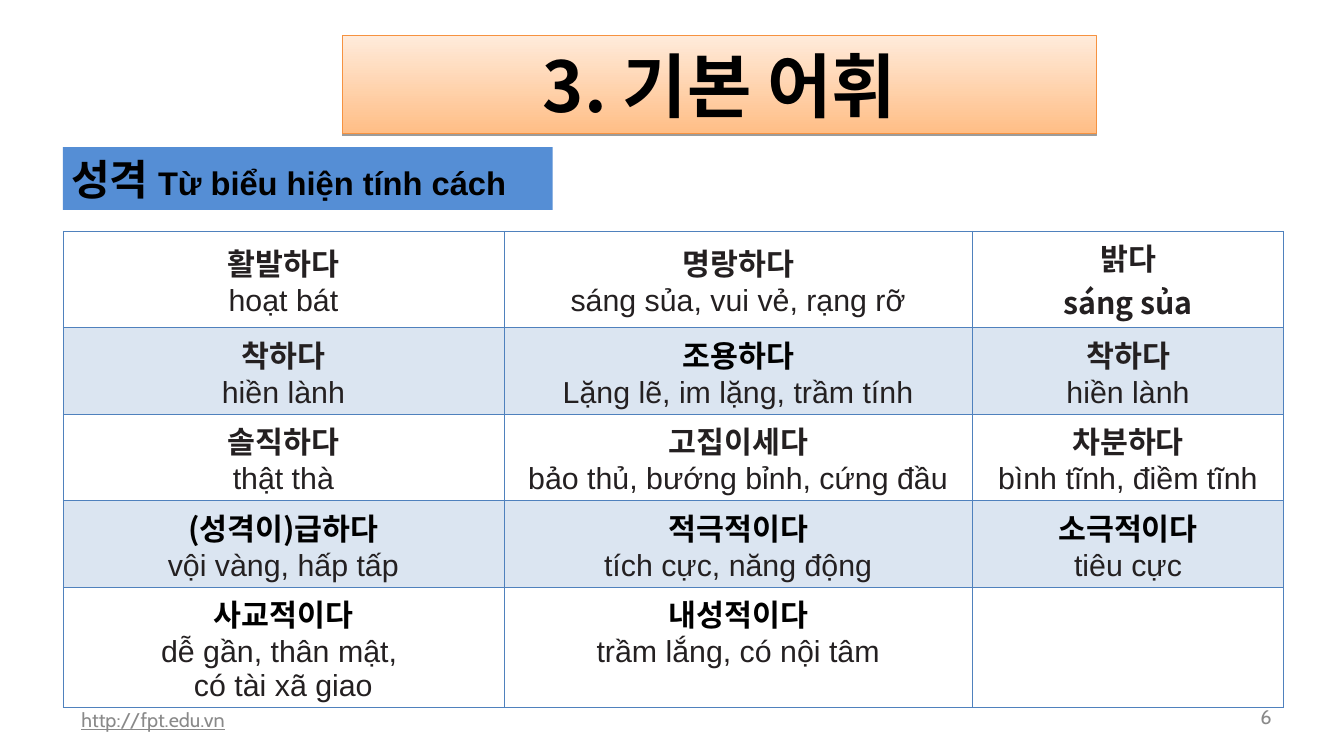
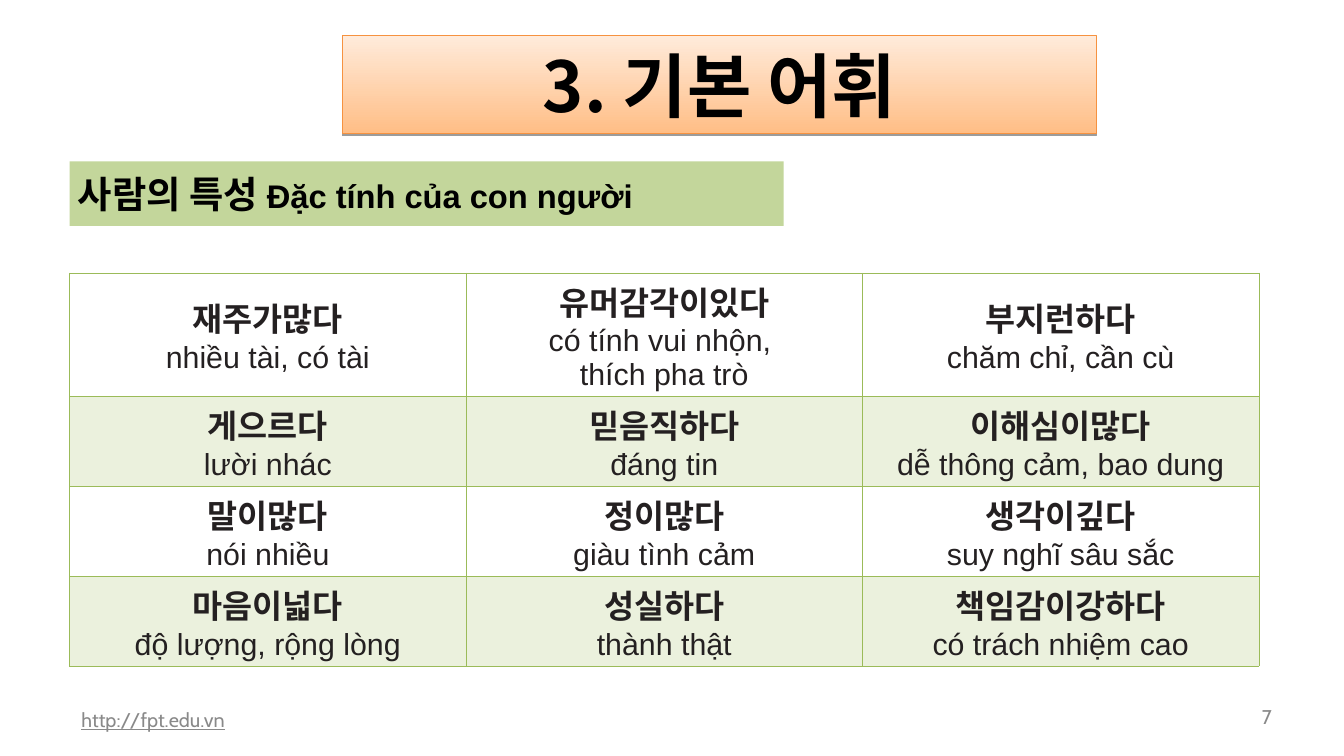
from dataclasses import dataclass

from lxml.etree import SubElement
from pptx import Presentation
from pptx.dml.color import RGBColor
from pptx.enum.shapes import MSO_SHAPE as Shape
from pptx.enum.text import MSO_ANCHOR as Anchor, MSO_AUTO_SIZE as AutoSize, PP_ALIGN as Align
from pptx.oxml import parse_xml
from pptx.oxml.ns import nsdecls, qn
from pptx.util import Inches, Pt

COLORS = {
    "black": "000000", "ink": "242021", "footer": "898989",
    "title_top": "FFEBDB", "title_bottom": "FFBE86", "title_line": "F69240",
    "blue_label": "558ED5", "blue": "4F81BD",
    "green_label": "C3D69B", "green": "9BBB59",
}
KOREAN, VIETNAMESE, FOOTER = "Noto Sans CJK KR", "Arial", "Cabin"
TITLE_ONLY = 5
MEANING_SIZE = 26
TINT_PERCENT = 20
THIN, HEADER_RULE = 0.45, 0.96


@dataclass
class Entry:
    """A Korean term with its meaning, one string for each line."""
    term: str
    meaning: tuple
    color: str = "ink"
    meaning_font: str = VIETNAMESE


def entry(term, *meaning, **options):
    return Entry(term, meaning, **options)


def black_entry(term, *meaning):
    return Entry(term, meaning, "black")


PERSONALITY = [
    [entry("활발하다", "hoạt bát"),
     entry("명랑하다", "sáng sủa, vui vẻ, rạng rỡ"),
     entry("밝다", "sáng sủa", meaning_font=KOREAN)],
    [entry("착하다", "hiền lành"),
     black_entry("조용하다", "Lặng lẽ, im lặng, trầm tính"),
     entry("착하다", "hiền lành")],
    [entry("솔직하다", "thật thà"),
     entry("고집이세다", "bảo thủ, bướng bỉnh, cứng đầu"),
     entry("차분하다", "bình tĩnh, điềm tĩnh")],
    [black_entry("(성격이)급하다", "vội vàng, hấp tấp"),
     black_entry("적극적이다", "tích cực, năng động"),
     black_entry("소극적이다", "tiêu cực")],
    [black_entry("사교적이다", "dễ gần, thân mật, ", "có tài xã giao"),
     black_entry("내성적이다", "trầm lắng, có nội tâm"),
     None],
]
TRAITS = [
    [entry("재주가많다", "nhiều tài, có tài"),
     entry("유머감각이있다", "có tính vui nhộn, ", "thích pha trò"),
     entry("부지런하다", "chăm chỉ, cần cù")],
    [entry("게으르다", "lười nhác"),
     entry("믿음직하다", "đáng tin"),
     entry("이해심이많다", "dễ thông cảm, bao dung")],
    [entry("말이많다", "nói nhiều"),
     entry("정이많다", "giàu tình cảm"),
     entry("생각이깊다", "suy nghĩ sâu sắc")],
    [entry("마음이넓다", "độ lượng, rộng lòng"),
     entry("성실하다", "thành thật"),
     entry("책임감이강하다", "có trách nhiệm cao")],
]


def rgb(name):
    return RGBColor.from_string(COLORS[name])


def style_font(font, size, name, color, bold=False):
    font.size, font.name, font.bold = Pt(size), name, bold
    font.color.rgb = rgb(color)
    if name == KOREAN:
        SubElement(font._element, qn("a:ea"), typeface=name)


def set_box(shape, left, top, width, height):
    shape.left, shape.top = Inches(left), Inches(top)
    shape.width, shape.height = Inches(width), Inches(height)


def set_margins(frame, across, down):
    frame.margin_left = frame.margin_right = Inches(across)
    frame.margin_top = frame.margin_bottom = Inches(down)


def format_title(slide):
    title = slide.shapes.title
    set_box(title, 4.08, 0.42, 8.97, 1.17)
    title.fill.gradient()
    title.fill.gradient_angle = 270
    for stop, color in zip(title.fill.gradient_stops, ("title_top", "title_bottom")):
        stop.color.rgb = rgb(color)
    title.line.color.rgb = rgb("title_line")
    title.line.width = Pt(0.75)
    title._element.spPr.append(parse_xml(
        f'<a:effectLst {nsdecls("a")}><a:outerShdw blurRad="0" dist="{Pt(1.6)}" dir="5400000">'
        f'<a:srgbClr val="{COLORS["black"]}"><a:alpha val="38000"/></a:srgbClr>'
        '</a:outerShdw></a:effectLst>'))
    frame = title.text_frame
    frame.text = "3. 기본 어휘"
    frame.word_wrap = True
    frame.auto_size = AutoSize.NONE
    frame.vertical_anchor = Anchor.MIDDLE
    paragraph = frame.paragraphs[0]
    paragraph.alignment = Align.CENTER
    style_font(paragraph.font, 60, KOREAN, "black", bold=True)


def add_footer_text(slide, text, left, width, height, align, underline=False):
    box = slide.shapes.add_textbox(Inches(left), Inches(8.33), Inches(width), Inches(height))
    frame = box.text_frame
    frame.word_wrap = True
    frame.vertical_anchor = Anchor.MIDDLE
    set_margins(frame, 0.14, 0.07)
    paragraph = frame.paragraphs[0]
    paragraph.text = text
    paragraph.alignment = align
    style_font(paragraph.font, 17, FOOTER, "footer")
    paragraph.font.underline = underline


def add_label(slide, box, fill, korean, korean_size, vietnamese):
    label = slide.shapes.add_shape(Shape.RECTANGLE, *map(Inches, box))
    label.shadow.inherit = False
    label.fill.solid()
    label.fill.fore_color.rgb = rgb(fill)
    label.line.fill.background()
    frame = label.text_frame
    frame.word_wrap = True
    frame.vertical_anchor = Anchor.MIDDLE
    set_margins(frame, 0.1, 0.1)
    paragraph = frame.paragraphs[0]
    paragraph.alignment = Align.LEFT
    for text, size, name in ((korean + " ", korean_size, KOREAN), (vietnamese, 28, VIETNAMESE)):
        run = paragraph.add_run()
        run.text = text
        style_font(run.font, size, name, "black", bold=True)


def set_borders(cell, color, top, bottom):
    properties = cell._tc.get_or_add_tcPr()
    for side, width in (("L", THIN), ("R", THIN), ("T", top), ("B", bottom)):
        line = SubElement(properties, qn(f"a:ln{side}"), w=str(Pt(width)))
        fill = SubElement(line, qn("a:solidFill"))
        SubElement(fill, qn("a:srgbClr"), val=COLORS[color])


def tint(cell, color):
    cell.fill.solid()
    cell.fill.fore_color.rgb = rgb(color)
    rgb_element = cell._tc.tcPr.find(qn("a:solidFill")).find(qn("a:srgbClr"))
    SubElement(rgb_element, qn("a:alpha"), val=str(TINT_PERCENT * 1000))


def write_entry(cell, item, term_size):
    cell.vertical_anchor = Anchor.TOP if item.color == "black" else Anchor.MIDDLE
    cell.text = "\n".join((item.term, *item.meaning))
    term, *meanings = cell.text_frame.paragraphs
    style_font(term.font, term_size, KOREAN, item.color, bold=True)
    for paragraph in meanings:
        style_font(paragraph.font, MEANING_SIZE, item.meaning_font, "ink",
                   bold=item.meaning_font == KOREAN)
    for paragraph in (term, *meanings):
        paragraph.alignment = Align.CENTER


def add_vocabulary(slide, entries, left, top, widths, heights, color, term_size):
    frame = slide.shapes.add_table(len(heights), len(widths), Inches(left), Inches(top),
                                   Inches(sum(widths)), Inches(sum(heights)))
    table = frame.table
    table.first_row = table.horz_banding = False
    for column, width in zip(table.columns, widths):
        column.width = Inches(width)
    for index, (row, height, items) in enumerate(zip(table.rows, heights, entries)):
        row.height = Inches(height)
        for cell, item in zip(row.cells, items):
            set_borders(cell, color,
                        top=HEADER_RULE if index == 1 else THIN,
                        bottom=HEADER_RULE if index == 0 else THIN)
            if index % 2:
                tint(cell, color)
            else:
                cell.fill.background()
            if item:
                write_entry(cell, item, term_size)


def add_slide(presentation, number):
    slide = presentation.slides.add_slide(presentation.slide_layouts[TITLE_ONLY])
    add_footer_text(slide, "http://fpt.edu.vn", 0.83, 5.07, 0.48, Align.LEFT, underline=True)
    add_footer_text(slide, str(number), 14.5, 0.78, 0.41, Align.RIGHT)
    format_title(slide)
    return slide


def main():
    presentation = Presentation()
    presentation.slide_width, presentation.slide_height = Inches(16), Inches(9)

    slide = add_slide(presentation, 6)
    add_label(slide, (0.75, 1.75, 5.83, 0.75), "blue_label", "성격", 36, "Từ biểu hiện tính cách")
    add_vocabulary(slide, PERSONALITY, 0.75, 2.75, [5.25, 5.58, 3.7],
                   [1.15] + [1.03] * 3 + [1.43], "blue", term_size=26)

    slide = add_slide(presentation, 7)
    add_label(slide, (0.83, 1.92, 8.5, 0.77), "green_label", "사람의 특성", 32,
              "Đặc tính của con người")
    add_vocabulary(slide, TRAITS, 0.83, 3.25, [4.72] * 3, [1.47] + [1.07] * 3,
                   "green", term_size=28)

    presentation.save("out.pptx")


if __name__ == "__main__":
    main()
